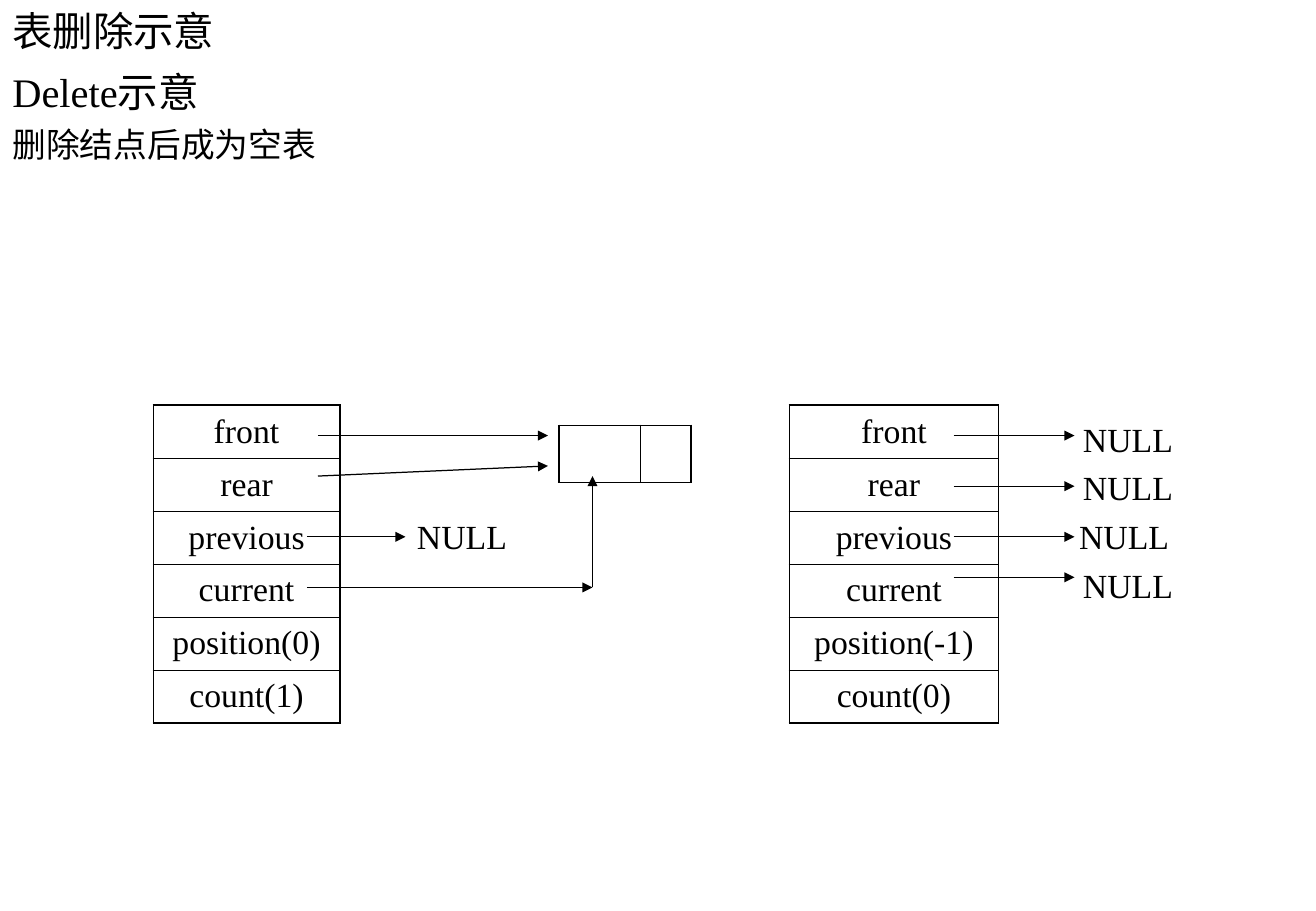
from dataclasses import dataclass

from lxml.etree import SubElement
from pptx import Presentation
from pptx.dml.color import RGBColor
from pptx.enum.shapes import MSO_CONNECTOR
from pptx.enum.text import MSO_ANCHOR, PP_ALIGN
from pptx.oxml import parse_xml
from pptx.oxml.ns import nsdecls, qn
from pptx.slide import Slide
from pptx.text.text import _Paragraph as Paragraph
from pptx.util import Pt

BLACK = RGBColor(0, 0, 0)
FONT = "Times New Roman"
OUTER, INNER = 1.08, 0.45
ROW_HEIGHT = 31.4
NULL_TOP, NULL_PITCH = 248, 28.9


@dataclass(frozen=True)
class Grid:
    left: float
    top: float
    widths: tuple[float, ...]
    row_height: float
    rows: tuple[tuple[str, ...], ...]


@dataclass(frozen=True)
class Arrow:
    x1: float
    y1: float
    x2: float
    y2: float


@dataclass(frozen=True)
class NullLabel:
    left: float
    row: int


def list_fields(position: int, count: int) -> tuple[tuple[str, ...], ...]:
    names = ("front", "rear", "previous", "current")
    return tuple((name,) for name in (*names, f"position({position})", f"count({count})"))


GRIDS = (
    Grid(91, 240.2, (110.5,), ROW_HEIGHT, list_fields(0, 1)),
    Grid(468.2, 240.2, (124,), ROW_HEIGHT, list_fields(-1, 0)),
    Grid(331.4, 252.2, (48.3, 30), 33.8, (("", ""),)),
)

ARROWS = (
    Arrow(188.6, 258.2, 325, 258.2),
    Arrow(188.6, 282.2, 325, 276.2),
    Arrow(182, 318.2, 240.5, 318.2),
    Arrow(182, 348.2, 351.4, 348.2),
    Arrow(351.4, 348.2, 351.4, 282.2),
    *(Arrow(565.6, y, 637.3, y) for y in (258.2, 288.2, 318.2, 342.2)),
)

NULL_LABELS = (
    NullLabel(642.3, 0),
    NullLabel(642.3, 1),
    NullLabel(247.3, 2),
    NullLabel(640, 2),
    NullLabel(642.3, 3),
)


def add_span(para: Paragraph, text: str, size: float) -> None:
    span = para.add_run()
    span.text = text
    span.font.name = FONT
    span.font.size = Pt(size)
    span.font.color.rgb = BLACK


def add_title(page: Slide) -> None:
    title = page.shapes.title
    title.left, title.top, title.width, title.height = Pt(0), Pt(0), Pt(663), Pt(36)
    frame = title.text_frame
    frame.word_wrap = True
    frame.vertical_anchor = MSO_ANCHOR.MIDDLE
    para = frame.paragraphs[0]
    para.alignment = PP_ALIGN.LEFT
    add_span(para, "表删除示意", 24)


def add_subtitles(page: Slide) -> None:
    box = page.shapes.add_textbox(Pt(0.2), Pt(36.2), Pt(760), Pt(64))
    frame = box.text_frame
    frame.word_wrap = True
    add_span(frame.paragraphs[0], "Delete示意", 24)
    para = frame.add_paragraph()
    para.space_before = Pt(5)
    add_span(para, "删除结点后成为空表", 20)


def add_grid(page: Slide, grid: Grid) -> None:
    row_count, column_count = len(grid.rows), len(grid.widths)
    table = page.shapes.add_table(
        row_count, column_count, Pt(grid.left), Pt(grid.top),
        Pt(sum(grid.widths)), Pt(grid.row_height * row_count),
    ).table
    table.first_row = False
    table.horz_banding = False
    for column, width in zip(table.columns, grid.widths):
        column.width = Pt(width)
    for r, texts in enumerate(grid.rows):
        table.rows[r].height = Pt(grid.row_height)
        for c, text in enumerate(texts):
            cell = table.cell(r, c)
            cell.fill.background()
            cell.vertical_anchor = MSO_ANCHOR.MIDDLE
            para = cell.text_frame.paragraphs[0]
            para.alignment = PP_ALIGN.CENTER
            if text:
                add_span(para, text, 20)
            else:
                para.font.size = Pt(20)
            edges = {
                "lnL": c == 0,
                "lnR": c == column_count - 1,
                "lnT": r == 0,
                "lnB": r == row_count - 1,
            }
            properties = cell._tc.get_or_add_tcPr()
            for index, (tag, is_outer) in enumerate(edges.items()):
                width = Pt(OUTER if is_outer else INNER)
                properties.insert(index, parse_xml(
                    f'<a:{tag} {nsdecls("a")} w="{width}"><a:solidFill>'
                    f'<a:srgbClr val="{BLACK}"/></a:solidFill></a:{tag}>'
                ))


def add_arrow(page: Slide, arrow: Arrow) -> None:
    connector = page.shapes.add_connector(
        MSO_CONNECTOR.STRAIGHT, Pt(arrow.x1), Pt(arrow.y1), Pt(arrow.x2), Pt(arrow.y2)
    )
    connector.line.color.rgb = BLACK
    connector.line.width = Pt(0.75)
    SubElement(connector.line._get_or_add_ln(), qn("a:tailEnd"), type="triangle")
    SubElement(connector._element.spPr, qn("a:effectLst"))


def add_null_label(page: Slide, label: NullLabel) -> None:
    top = NULL_TOP + label.row * NULL_PITCH
    box = page.shapes.add_textbox(Pt(label.left), Pt(top), Pt(64), Pt(23))
    frame = box.text_frame
    frame.word_wrap = True
    frame.margin_left = frame.margin_right = frame.margin_top = frame.margin_bottom = 0
    add_span(frame.paragraphs[0], "NULL", 20)


def main() -> None:
    deck = Presentation()
    deck.slide_width, deck.slide_height = Pt(780.48), Pt(540)
    page = deck.slides.add_slide(deck.slide_layouts[5])
    add_title(page)
    add_subtitles(page)
    for grid in GRIDS:
        add_grid(page, grid)
    for arrow in ARROWS:
        add_arrow(page, arrow)
    for label in NULL_LABELS:
        add_null_label(page, label)
    deck.save("out.pptx")


if __name__ == "__main__":
    main()
